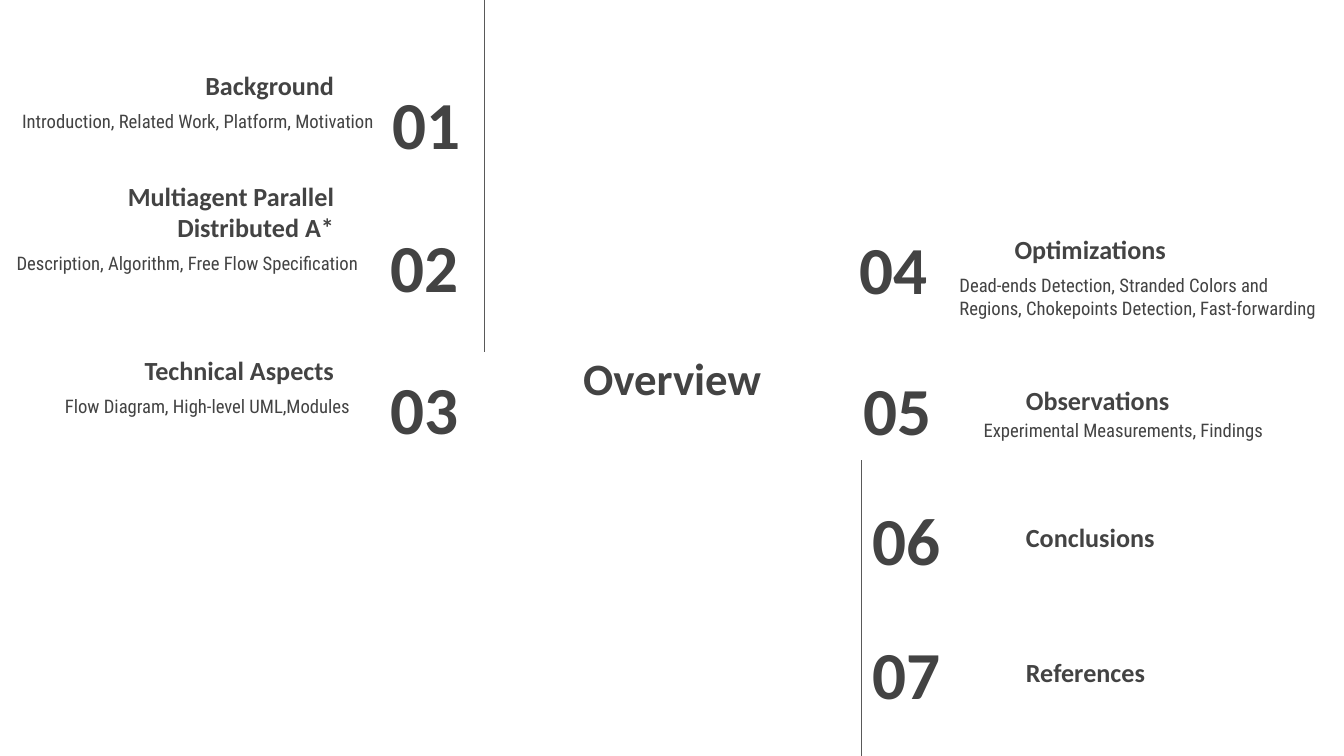
import pptx
import pptx.util
import pptx.dml.color
import pptx.enum.shapes
import pptx.enum.text
import pptx.oxml.ns
from lxml import etree

PX = 4572  # 200 px to the inch
INK = pptx.dml.color.RGBColor(0x43, 0x43, 0x43)
RULE = pptx.dml.color.RGBColor(0x59, 0x59, 0x59)
LEFT = pptx.enum.text.PP_ALIGN.LEFT
CENTER = pptx.enum.text.PP_ALIGN.CENTER
RIGHT = pptx.enum.text.PP_ALIGN.RIGHT
TOP = pptx.enum.text.MSO_ANCHOR.TOP
MIDDLE = pptx.enum.text.MSO_ANCHOR.MIDDLE
BOTTOM = pptx.enum.text.MSO_ANCHOR.BOTTOM
ROW_HEIGHT = 126
MARGIN = 20

deck = pptx.Presentation()
deck.slide_width = 2000 * PX
deck.slide_height = 1125 * PX
page = deck.slides.add_slide(deck.slide_layouts[6])


def add_text(text, left, top, width, height, size, align, anchor,
             font="Calibri", bold=True):
    box = page.shapes.add_textbox(left * PX, top * PX, width * PX, height * PX)
    frame = box.text_frame
    frame.word_wrap = True
    frame.vertical_anchor = anchor
    frame.margin_left = frame.margin_right = MARGIN * PX
    frame.margin_top = frame.margin_bottom = MARGIN * PX
    frame.text = text
    para = frame.paragraphs[0]
    para.alignment = align
    span = para.runs[0]
    span.font.name = font
    span.font.size = pptx.util.Pt(size)
    span.font.bold = bold
    span.font.color.rgb = INK


# Slide title
add_text("Overview", 741, 459, 518, 206, 24, CENTER, MIDDLE)

# Section numbers: left, top, width, alignment
numbers = [
    (463, 120, 242, RIGHT),
    (460, 332, 242, RIGHT),
    (460, 544, 242, RIGHT),
    (1260, 335, 234, LEFT),
    (1266, 545, 234, LEFT),
    (1278, 738, 234, LEFT),
    (1278, 938, 234, LEFT),
]
for index, (left, top, width, align) in enumerate(numbers, 1):
    add_text(f"{index:02d}", left, top, width, ROW_HEIGHT, 36, align, MIDDLE)

# Section names: text, left, top, width, alignment
headings = [
    ("Background", 85, 44, 432, RIGHT),
    ("Multiagent Parallel Distributed A*", 85, 256, 432, RIGHT),
    ("Technical Aspects", 85, 468, 432, RIGHT),
    ("Optimizations", 1490, 288, 310, LEFT),
    ("Observations", 1507, 513, 310, LEFT),
    ("Conclusions", 1507, 717, 432, LEFT),
    ("References", 1507, 917, 432, LEFT),
]
for text, left, top, width, align in headings:
    add_text(text, left, top, width, ROW_HEIGHT, 14, align, BOTTOM)

# Section details: text, left, top, width, alignment
details = [
    ("Introduction, Related Work, Platform, Motivation", -3, 147, 578, RIGHT),
    ("Description, Algorithm, Free Flow Specification", -2, 358, 554, RIGHT),
    ("Flow Diagram, High-level UML,Modules ", 28, 571, 518, RIGHT),
    ("Dead-ends Detection, Stranded Colors and Regions, "
     "Chokepoints Detection, Fast-forwarding", 1408, 388, 578, LEFT),
    ("Experimental Measurements, Findings", 1444, 607, 492, LEFT),
]
for text, left, top, width, align in details:
    add_text(text, left, top, width, ROW_HEIGHT, 10, align, TOP,
             font="Roboto Condensed", bold=False)

# Vertical rules: x, start, end
for x, start, end in [(721, 0, 524), (1282, 685, 1128)]:
    rule = page.shapes.add_connector(
        pptx.enum.shapes.MSO_CONNECTOR.STRAIGHT,
        x * PX, start * PX, x * PX, end * PX)
    rule.line.color.rgb = RULE
    rule.line.width = pptx.util.Pt(0.75)
    properties = rule.element.find(pptx.oxml.ns.qn("p:spPr"))
    etree.SubElement(properties, pptx.oxml.ns.qn("a:effectLst"))

deck.save("out.pptx")
